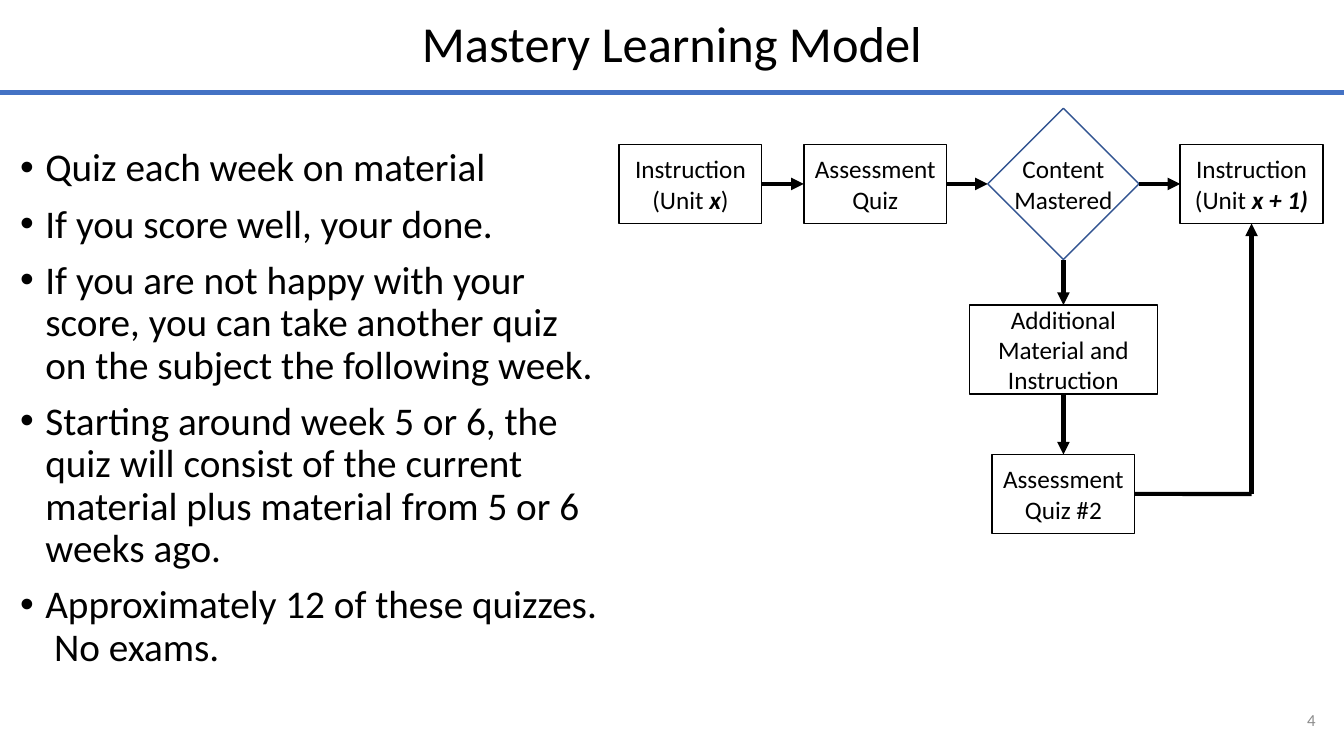
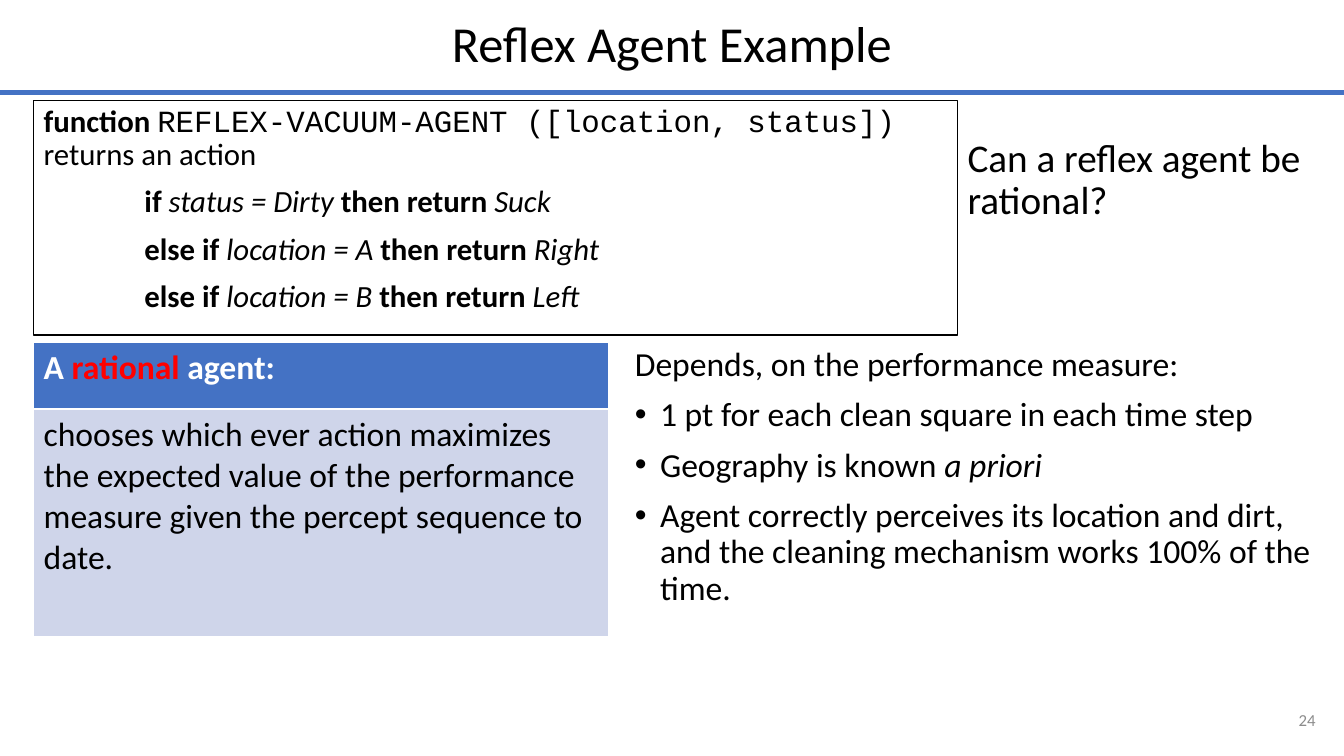
from lxml.etree import SubElement
from pptx import Presentation
from pptx.dml.color import RGBColor
from pptx.enum.shapes import MSO_CONNECTOR, MSO_SHAPE
from pptx.enum.text import MSO_ANCHOR, MSO_AUTO_SIZE, PP_ALIGN
from pptx.oxml.ns import qn
from pptx.util import Inches, Pt

BLACK = RGBColor(0x00, 0x00, 0x00)
WHITE = RGBColor(0xFF, 0xFF, 0xFF)
BLUE = RGBColor(0x44, 0x72, 0xC4)
NAVY = RGBColor(0x32, 0x54, 0x91)
PALE = RGBColor(0xCF, 0xD5, 0xEA)
GREY = RGBColor(0x8C, 0x8C, 0x8C)
RED = RGBColor(0xFF, 0x00, 0x00)

COLS, ROWS = 160, 90
UNIT = Inches(1 / 12)
INDENT = {"flat": (0, 0), "dot": (0.25, -0.25), "step": (1, 0)}
TOP, LEFT, FOOT, RIGHT = range(4)


def area(*cells):
    return [int(n * UNIT) for n in cells]


def write(frame, size, rows, align=PP_ALIGN.LEFT, gap=10, lead=0.9, hue=BLACK):
    for n, (kind, runs) in enumerate(rows):
        para = frame.add_paragraph() if n else frame.paragraphs[0]
        props = para._p.get_or_add_pPr()
        margin, hang = INDENT[kind]
        props.set("marL", str(Inches(margin)))
        props.set("indent", str(Inches(hang)))
        if kind == "dot":
            SubElement(props, qn("a:buFont"), typeface="Arial")
            SubElement(props, qn("a:buChar"), char="•")
        else:
            SubElement(props, qn("a:buNone"))
        para.alignment = align
        para.line_spacing = lead
        para.space_before = Pt(gap if n else 0)
        for text, style in runs:
            run = para.add_run()
            run.text = text
            font = run.font
            font.name = "Courier New" if "m" in style else "Calibri"
            font.size = Pt(size)
            font.bold = "b" in style
            font.italic = "i" in style
            font.color.rgb = RED if "r" in style else hue


deck = Presentation()
deck.slide_width, deck.slide_height = area(COLS, ROWS)
slides = []
lines = []

for name, page in (("Mastery Learning Model", "4"), ("Reflex Agent Example", "24")):
    slide = deck.slides.add_slide(deck.slide_layouts[1])
    title = slide.shapes.title
    title.left, title.top, title.width, title.height = area(0, -0.2, COLS, 11.3)
    title.text_frame.auto_size = MSO_AUTO_SIZE.NONE
    title.text_frame.vertical_anchor = MSO_ANCHOR.MIDDLE
    write(title.text_frame, 36, [("flat", [(name, "")])], PP_ALIGN.CENTER)
    rule = slide.shapes.add_connector(MSO_CONNECTOR.STRAIGHT, *area(0, 11, COLS, 11))
    lines.append((rule, BLUE, 3.75, False))
    foot = slide.shapes.add_textbox(*area(149.6, 83.4, 8.2, 4.8)).text_frame
    foot.word_wrap = True
    foot.vertical_anchor = MSO_ANCHOR.MIDDLE
    write(foot, 12, [("flat", [(page, "")])], PP_ALIGN.RIGHT, hue=GREY)
    slides.append(slide)

model, agent = slides

body = model.placeholders[1]
body.left, body.top, body.width, body.height = area(1.2, 17, 71.4, 64.6)
body.text_frame.auto_size = MSO_AUTO_SIZE.NONE
points = (
    "Quiz each week on material",
    "If you score well, your done.",
    "If you are not happy with your score, you can take another quiz on the subject the following week.",
    "Starting around week 5 or 6, the quiz will consist of the current material plus material from 5 or 6 weeks ago.",
    "Approximately 12 of these quizzes.  No exams.",
)
write(body.text_frame, 28, [("dot", [(point, "")]) for point in points])

MID, AXIS = 21.9, 126.6
BOX = (17, 9.4)
steps = {
    "unit": (82.2, MID, *BOX, [[("Instruction", "")], [("(Unit ", ""), ("x", "bi"), (")", "")]]),
    "quiz": (104.2, MID, *BOX, [[("Assessment", "")], [("Quiz", "")]]),
    "choice": (AXIS, MID, 18, 18, [[("Content", "")], [("Mastered", "")]]),
    "next": (149, MID, *BOX, [[("Instruction", "")], [("(Unit ", ""), ("x + 1)", "bi")]]),
    "extra": (AXIS, 41.6, 22.4, 10.6, [[("Additional Material and", "")], [("Instruction", "")]]),
    "retry": (AXIS, 58.8, *BOX, [[("Assessment", "")], [("Quiz #2", "")]]),
}
nodes = {}
for key, (x, y, wide, high, rows) in steps.items():
    fork = key == "choice"
    kind = MSO_SHAPE.FLOWCHART_DECISION if fork else MSO_SHAPE.RECTANGLE
    node = model.shapes.add_shape(kind, *area(x - wide / 2, y - high / 2, wide, high))
    node.shadow.inherit = False
    node.fill.solid()
    node.fill.fore_color.rgb = WHITE
    node.line.color.rgb = NAVY if fork else BLACK
    node.line.width = Pt(1)
    node.text_frame.word_wrap = not fork
    node.text_frame.vertical_anchor = MSO_ANCHOR.MIDDLE
    write(node.text_frame, 18, [("flat", runs) for runs in rows], PP_ALIGN.CENTER, 0, 1)
    nodes[key] = node

corner = area(149, 58.8)
links = (
    ("unit", RIGHT, "quiz", LEFT),
    ("quiz", RIGHT, "choice", LEFT),
    ("choice", RIGHT, "next", LEFT),
    ("choice", FOOT, "extra", TOP),
    ("extra", FOOT, "retry", TOP),
    ("retry", RIGHT, None, None),
    (None, None, "next", FOOT),
)
for start, out, end, into in links:
    wire = model.shapes.add_connector(MSO_CONNECTOR.STRAIGHT, *corner, *corner)
    if start:
        wire.begin_connect(nodes[start], out)
    if end:
        wire.end_connect(nodes[end], into)
    lines.append((wire, BLACK, 3, bool(end)))

code = agent.placeholders[1]
code.left, code.top, code.width, code.height = area(4, 12, 110, 27.9)
code.line.color.rgb = BLACK
code.line.width = Pt(1)
code.text_frame.auto_size = MSO_AUTO_SIZE.NONE
rows = [("flat", [
    ("function ", "b"),
    ("REFLEX-VACUUM-AGENT ([location, status])", "m"),
    (" returns an action", ""),
])]
for test, fact, act in (
    ("if ", "status = Dirty ", "Suck"),
    ("else if ", "location = A ", "Right"),
    ("else if ", "location = B ", "Left"),
):
    rows.append(("step", [(test, "b"), (fact, "i"), ("then return ", "b"), (act, "i")]))
write(code.text_frame, 22, rows)

grid = agent.shapes.add_table(2, 1, *area(4, 40.8, 68.5, 35)).table
cells = (
    (7.9, BLUE, WHITE, [("A ", "b"), ("rational", "br"), (" agent:", "b")]),
    (27.1, PALE, BLACK, [("chooses which ever action maximizes the expected value of the performance measure given the percept sequence to date.", "")]),
)
for n, (high, fill, hue, runs) in enumerate(cells):
    grid.rows[n].height = area(high)[0]
    cell = grid.cell(n, 0)
    cell.fill.solid()
    cell.fill.fore_color.rgb = fill
    write(cell.text_frame, 24, [("flat", runs)], lead=1, hue=hue)

notes = (
    ((114, 15.9, 45.7, 13.4), 28, [("flat", [("Can a reflex agent be rational?", "")])]),
    ((74.4, 40.8, 83.4, 35), 24, [
        ("flat", [("Depends, on the performance measure:", "")]),
        ("dot", [("1 pt for each clean square in each time step", "")]),
        ("dot", [("Geography is known ", ""), ("a priori", "i")]),
        ("dot", [("Agent correctly perceives its location and dirt, and the cleaning mechanism works 100% of the time.", "")]),
    ]),
)
for place, size, rows in notes:
    frame = agent.shapes.add_textbox(*area(*place)).text_frame
    frame.word_wrap = True
    write(frame, size, rows)

for wire, hue, width, head in lines:
    wire.line.color.rgb = hue
    wire.line.width = Pt(width)
    props = wire._element.spPr
    if head:
        SubElement(props.find(qn("a:ln")), qn("a:tailEnd"), type="triangle")
    SubElement(props, qn("a:effectLst"))

deck.save("out.pptx")
